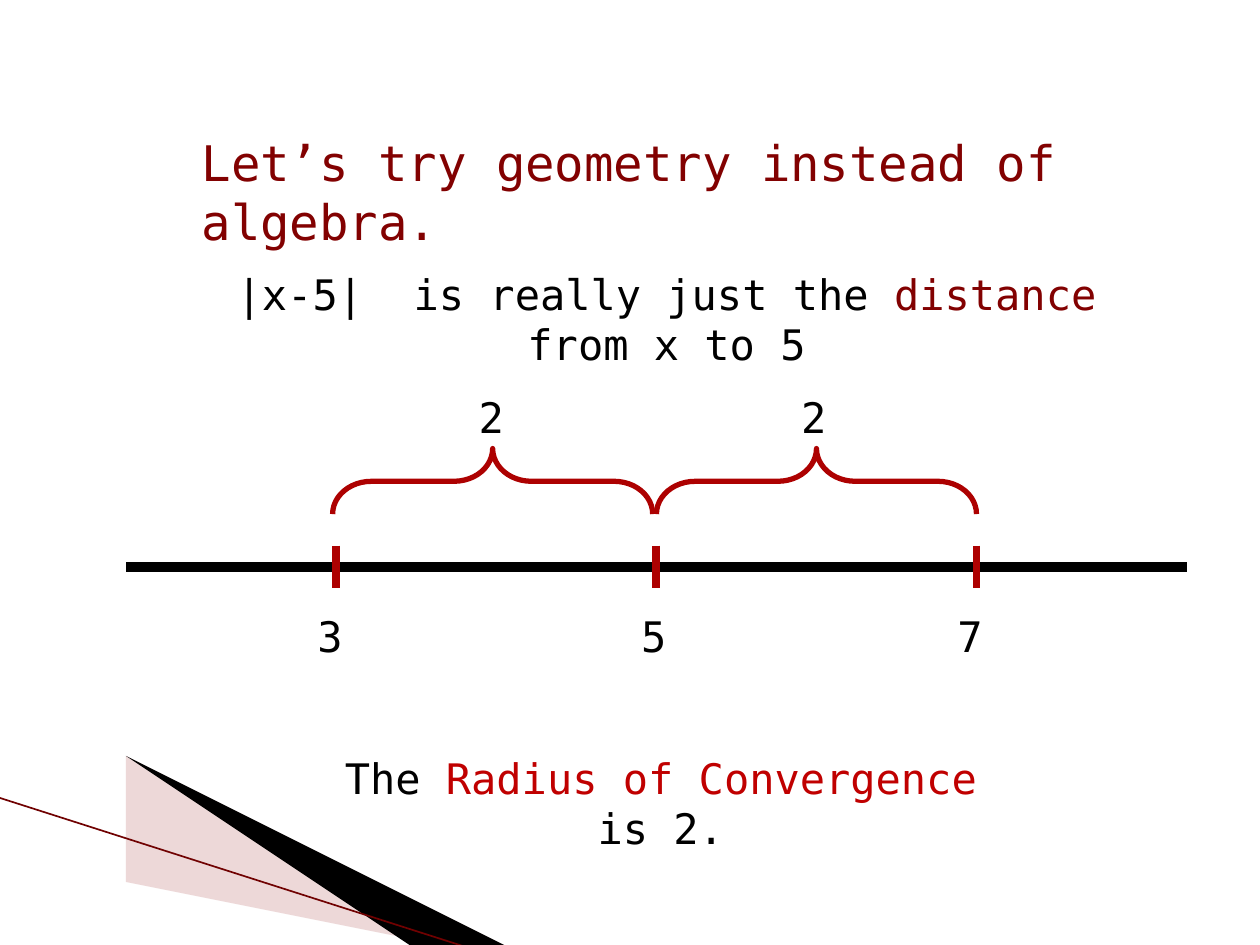
from lxml.etree import SubElement
from pptx import Presentation
from pptx.dml.color import RGBColor
from pptx.enum.shapes import MSO_CONNECTOR, MSO_SHAPE
from pptx.enum.text import MSO_ANCHOR as ANCHOR, MSO_AUTO_SIZE as FIT, PP_ALIGN as ALIGN
from pptx.oxml.ns import qn
from pptx.util import Inches, Pt

COLORS = {
    "black": "000000",
    "maroon": "820101",
    "red": "AD0101",
    "bright": "C00000",
    "pink": "D29E9E",
    "edge": "700101",
}


def rgb(name):
    return RGBColor.from_string(COLORS[name])


class SlideBuilder:
    font = "DejaVu Sans Mono"

    def __init__(self, slide):
        self.s = slide

    def fill_text(self, sp, box, runs, size=24, align=ALIGN.LEFT):
        """Place a text shape and fill it with (text, colour) runs."""
        for name, value in zip(("left", "top", "width", "height"), box):
            setattr(sp, name, Inches(value))
        tf = sp.text_frame
        frame = {"word_wrap": True, "auto_size": FIT.SHAPE_TO_FIT_TEXT,
                 "vertical_anchor": ANCHOR.TOP}
        for name, value in frame.items():
            setattr(tf, name, value)
        p = tf.paragraphs[0]
        p.alignment = align
        for text, color in runs:
            r = p.add_run()
            r.text = text
            for name, value in {"name": self.font, "size": Pt(size)}.items():
                setattr(r.font, name, value)
            r.font.color.rgb = rgb(color)

    def title(self, box, text, color, size):
        self.fill_text(self.s.shapes.title, box, [(text, color)], size)

    def text(self, box, runs, align=ALIGN.LEFT):
        sp = self.s.shapes.add_textbox(0, 0, 0, 0)
        self.fill_text(sp, box, runs, align=align)

    def label(self, left, top, text):
        self.text((left, top, 0.5, 0.5), [(text, "black")])

    def line(self, x1, y1, x2, y2, color, width):
        ends = [Inches(v) for v in (x1, y1, x2, y2)]
        sp = self.s.shapes.add_connector(MSO_CONNECTOR.STRAIGHT, *ends)
        sp.line.color.rgb = rgb(color)
        sp.line.width = Pt(width)
        SubElement(sp.element.spPr, qn("a:effectLst"))

    def brace(self, center_x, center_y, span, depth):
        """Draw a brace that points up, as a left brace turned clockwise."""
        sp = self.s.shapes.add_shape(
            MSO_SHAPE.LEFT_BRACE, Inches(center_x - depth / 2),
            Inches(center_y - span / 2), Inches(depth), Inches(span))
        sp.rotation = 90
        sp.adjustments[0] = 0.59
        sp.shadow.inherit = False
        sp.fill.background()
        sp.line.color.rgb = rgb("red")
        sp.line.width = Pt(3)

    def wedge(self, points, color, opacity=100):
        start, *rest = points
        fb = self.s.shapes.build_freeform(*start, scale=Inches(1))
        fb.add_line_segments(rest)
        sp = fb.convert_to_shape()
        sp.shadow.inherit = False
        sp.fill.solid()
        sp.fill.fore_color.rgb = rgb(color)
        sp.line.fill.background()
        if opacity < 100:
            clr = sp.element.spPr.find(qn("a:solidFill"))[0]
            SubElement(clr, qn("a:alpha"), val=str(opacity * 1000))


def main():
    prs = Presentation()
    prs.slide_width, prs.slide_height = Inches(10), Inches(7.5)
    b = SlideBuilder(prs.slides.add_slide(prs.slide_layouts[5]))

    # Corner decoration
    b.wedge([(0.55, 6.51), (5.95, 7.51), (4.56, 7.51), (0.55, 6.5)], "pink", 40)
    b.wedge([(0.53, 6.49), (4.57, 7.51), (3.72, 7.52), (0.54, 6.5)], "black")
    b.line(-0.01, 6.33, 3.71, 7.52, "edge", 0.95)

    b.title((1.5, 1, 7.58, 0.57), "Let’s try geometry instead of algebra.",
            "maroon", 28)
    b.text((1.54, 2.08, 7.5, 0.5),
           [("|x-5|  is really just the ", "black"), ("distance", "maroon"),
            (" from x to 5", "black")], ALIGN.CENTER)

    # Number line with its ticks, and a brace over each interval
    axis_y, tick, step = 4.5, 0.17, 2.54
    b.line(1, axis_y, 9.42, axis_y, "black", 6)
    for i, (number, label_x) in enumerate([("3", 2.42), ("5", 4.99), ("7", 7.5)]):
        x = 2.67 + i * step
        b.line(x, axis_y - tick, x, axis_y + tick, "red", 4.5)
        b.label(label_x, 4.8, number)
    for center_x, label_x in [(3.91, 3.7), (6.48, 6.26)]:
        b.brace(center_x, 3.82, step, 0.52)
        b.label(label_x, 3.06, "2")

    b.text((2.41, 5.92, 5.67, 0.5),
           [("The ", "black"), ("Radius of Convergence ", "bright"),
            ("is 2.", "black")], ALIGN.CENTER)

    prs.save("out.pptx")


if __name__ == "__main__":
    main()
